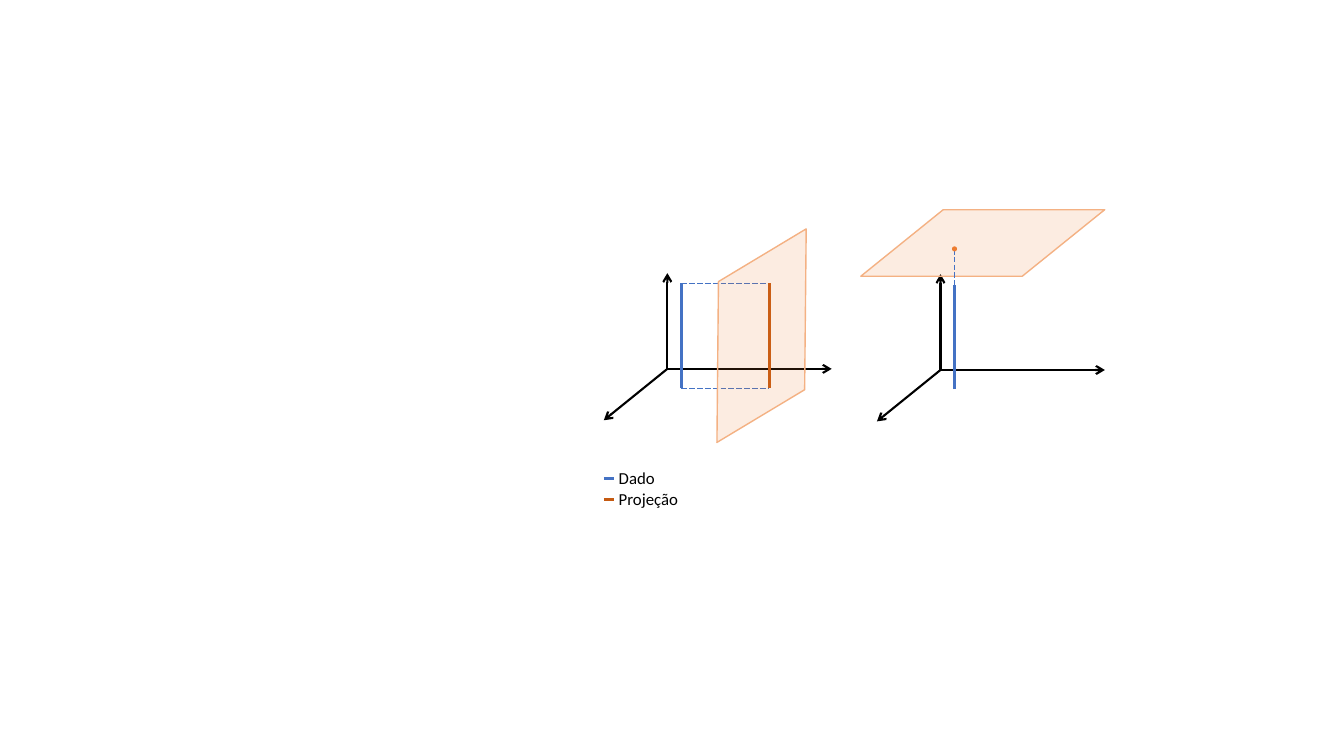
import pptx
import pptx.dml.color
import pptx.enum.dml
import pptx.enum.shapes
import pptx.oxml
import pptx.oxml.ns
import pptx.util
from lxml import etree

Pt = pptx.util.Pt
SHAPE = pptx.enum.shapes.MSO_SHAPE
BLACK, DATA, PROJECTION = "000000", "4472C4", "C55A11"
PLANE, PLANE_EDGE = "ED7D31", "F4B183"
DATA_X, DATA_TOP, DATA_BOTTOM = 10, -61, 13.7


def rgb(value):
    return pptx.dml.color.RGBColor.from_string(value)


def add_line(s, start, end, color, width, dashed=False, arrow=False):
    line = s.shapes.add_connector(pptx.enum.shapes.MSO_CONNECTOR.STRAIGHT,
                                  *(Pt(v) for v in (*start, *end)))
    line.line.color.rgb = rgb(color)
    line.line.width = Pt(width)
    if dashed:
        line.line.dash_style = pptx.enum.dml.MSO_LINE.LONG_DASH
    if arrow:
        etree.SubElement(line.line._get_or_add_ln(),
                         pptx.oxml.ns.qn("a:tailEnd"), type="arrow")
    etree.SubElement(line._element.spPr, pptx.oxml.ns.qn("a:effectLst"))


def add_shape(s, kind, x, y, w, h, fill, edge=None, alpha=None):
    sp = s.shapes.add_shape(kind, Pt(x), Pt(y), Pt(w), Pt(h))
    sp.shadow.inherit = False
    sp.fill.solid()
    sp.fill.fore_color.rgb = rgb(fill)
    if alpha is not None:
        color = sp._element.spPr.find(".//" + pptx.oxml.ns.qn("a:srgbClr"))
        etree.SubElement(color, pptx.oxml.ns.qn("a:alpha"), val=str(alpha * 1000))
    if edge:
        sp.line.color.rgb = rgb(edge)
        sp.line.width = Pt(1)
    else:
        sp.line.fill.background()
    return sp


def add_text(s, text, x, y, w, h, size=12, color=BLACK, font="Calibri"):
    tf = s.shapes.add_textbox(Pt(x), Pt(y), Pt(w), Pt(h)).text_frame
    tf.word_wrap = True
    r = tf.paragraphs[0].add_run()
    r.text = text
    r.font.size = Pt(size)
    r.font.name = font
    r.font.color.rgb = rgb(color)


def add_plane(s, x, y, w, h, slant, rotation=0):
    sp = add_shape(s, SHAPE.PARALLELOGRAM, x, y, w, h, PLANE, PLANE_EDGE, alpha=14)
    sp.adjustments[0] = slant
    sp.rotation = rotation


def add_axes_with_data(s, x, y):
    """Draw three axes from the origin (x, y) and the data segment."""
    for dx, dy in ((117.4, 0), (-45.4, 36.7), (0, -68.4)):
        add_line(s, (x, y), (x + dx, y + dy), BLACK, 1.5, arrow=True)
    add_line(s, (x + DATA_X, y + DATA_BOTTOM), (x + DATA_X, y + DATA_TOP), DATA, 2.25)


def side_projection(s, x, y):
    add_axes_with_data(s, x, y)
    data_x, image_x = x + DATA_X, x + 72.7
    for dy in (DATA_TOP, DATA_BOTTOM):
        add_line(s, (data_x, y + dy), (image_x, y + dy), DATA, 0.5, dashed=True)
    add_line(s, (image_x, y + DATA_BOTTOM), (image_x, y + DATA_TOP), PROJECTION, 2.25)
    add_plane(s, x + 0.7, y - 72.7, 133.2, 97.9, slant=0.614, rotation=329)


def top_projection(s, x, y):
    add_axes_with_data(s, x, y)
    add_plane(s, x - 56.9, y - 114.5, 174.2, 47.5, slant=1.239)
    data_x, dot_y, dot = x + DATA_X, y - 86.5, 3.6
    add_line(s, (data_x, dot_y), (data_x, y + DATA_TOP), DATA, 0.5, dashed=True)
    add_shape(s, SHAPE.OVAL, data_x - dot / 2, dot_y - dot / 2, dot, dot, PLANE)


def legend(s, x, y, row_height=14.8):
    for i, (label, color) in enumerate((("Dado", DATA), ("Projeção", PROJECTION))):
        row_y = y + i * row_height
        add_line(s, (x, row_y), (x + 7.2, row_y), color, 2.25)
        add_text(s, label, x + 3.6, row_y - 11.3, 67.7, 21.8)


def main():
    prs = pptx.Presentation()
    prs.slide_width, prs.slide_height = Pt(960), Pt(540)
    s = prs.slides.add_slide(prs.slide_layouts[6])
    side_projection(s, 476.7, 263.5)
    top_projection(s, 671.8, 264.3)
    legend(s, 431.3, 341.9)
    prs.save("out.pptx")


if __name__ == "__main__":
    main()
